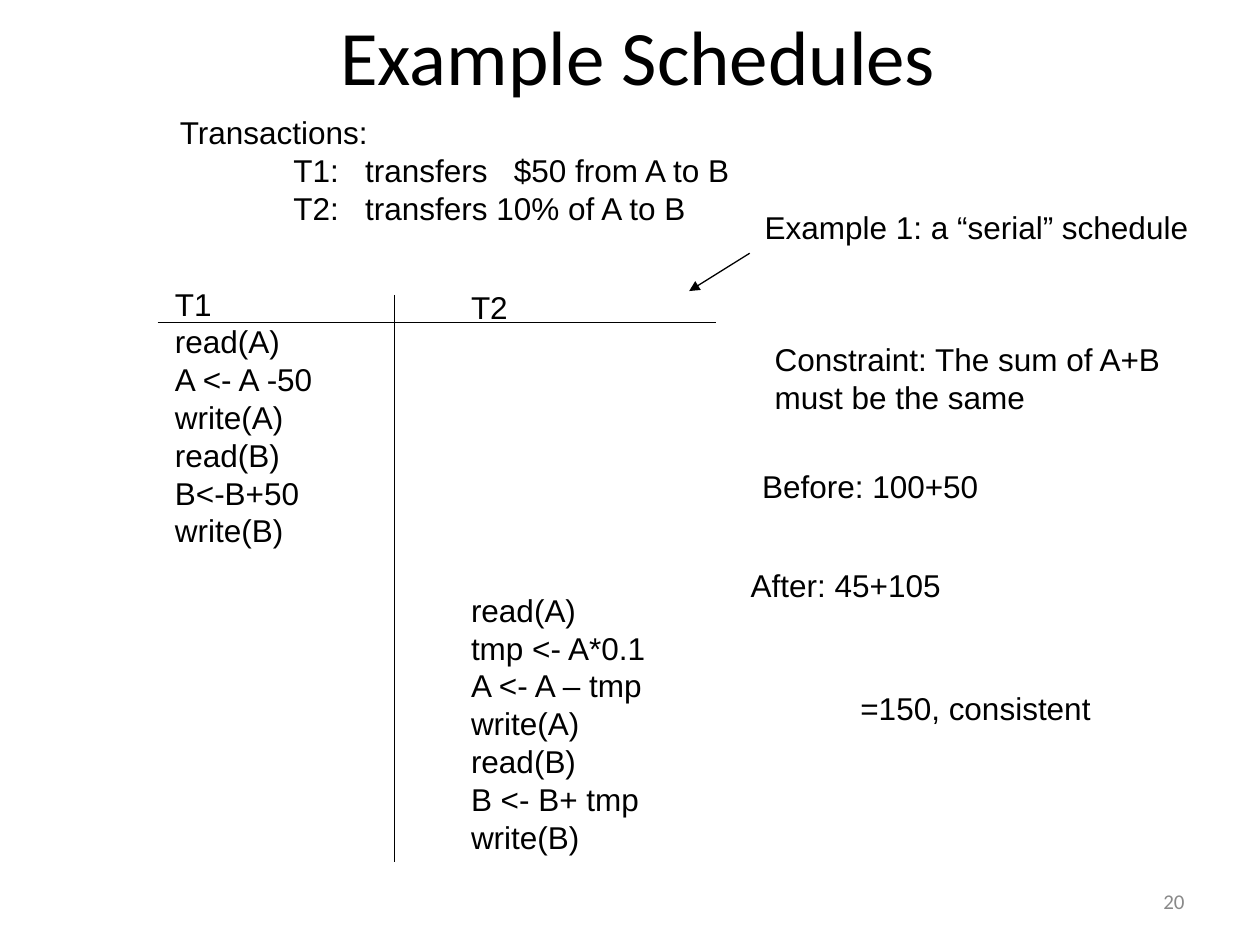
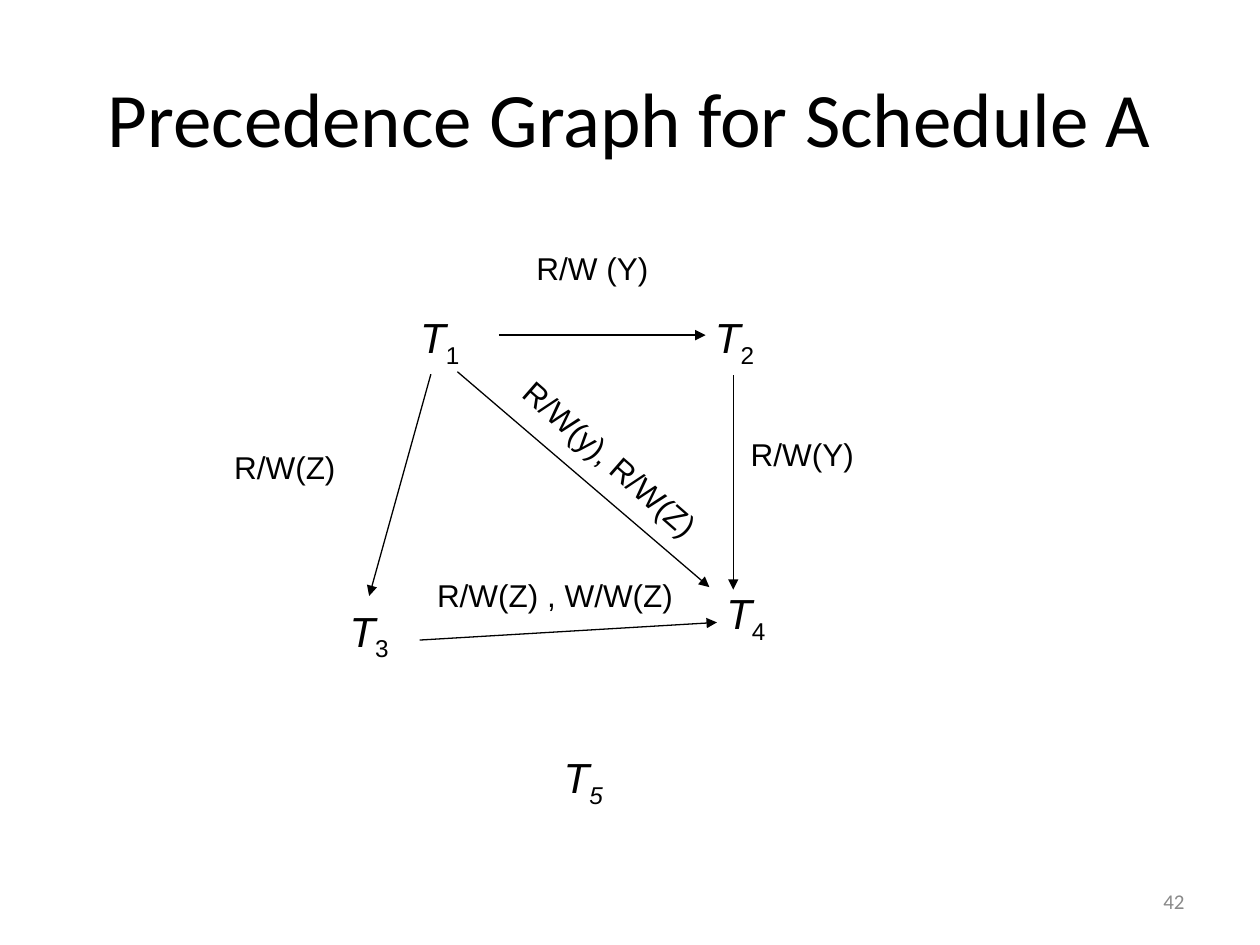
from dataclasses import dataclass

from lxml.etree import SubElement
from pptx import Presentation
from pptx.dml.color import RGBColor
from pptx.enum.shapes import MSO_CONNECTOR
from pptx.enum.text import MSO_ANCHOR, PP_ALIGN
from pptx.oxml.ns import qn
from pptx.util import Inches, Pt


@dataclass(frozen=True)
class Theme:
    ink: RGBColor = RGBColor(0, 0, 0)
    muted: RGBColor = RGBColor(0x89, 0x89, 0x89)
    head_font: str = "Calibri"
    body_font: str = "Arial"
    title: int = 44
    node: int = 24
    body: int = 18
    number: int = 12
    line: float = 0.75
    leading: float = 1.2


T = Theme()


# Shared helpers
def set_font(r, size, color=T.ink, name=T.body_font, **extra):
    values = {"size": Pt(size), "name": name, **extra}
    for key, value in values.items():
        setattr(r.font, key, value)
    r.font.color.rgb = color


def add_box(slide, box, wrap=False, anchor=MSO_ANCHOR.TOP):
    sp = slide.shapes.add_textbox(*map(Inches, box))
    sp.text_frame.word_wrap = wrap
    sp.text_frame.vertical_anchor = anchor
    return sp


def add_heading_text(slide, box, text, size, color, align):
    tf = add_box(slide, box, True, MSO_ANCHOR.MIDDLE).text_frame
    p = tf.paragraphs[0]
    p.alignment = align
    r = p.add_run()
    r.text = text
    set_font(r, size, color, T.head_font)


def add_lines(slide, box, lines, tabs=(), gaps=None):
    """Body text; gaps maps a line's index to the empty lines before it."""
    sp = add_box(slide, box)
    tf = sp.text_frame
    pitch = T.body * T.leading
    for i, text in enumerate(lines):
        p = tf.add_paragraph() if i else tf.paragraphs[0]
        p.line_spacing = Pt(pitch)
        if gaps and i in gaps:
            p.space_before = Pt(pitch * gaps[i])
        if tabs:
            tab_list = SubElement(p._p.get_or_add_pPr(), qn("a:tabLst"))
            for pos in tabs:
                SubElement(tab_list, qn("a:tab"), pos=str(Inches(pos)), algn="l")
        r = p.add_run()
        r.text = text
        set_font(r, T.body)
    return sp


def add_line(slide, start, end, arrow=False):
    cx = slide.shapes.add_connector(
        MSO_CONNECTOR.STRAIGHT, *map(Inches, (*start, *end)))
    cx.line.color.rgb = T.ink
    cx.line.width = Pt(T.line)
    if arrow:
        SubElement(cx.line._get_or_add_ln(), qn("a:tailEnd"), type="triangle")
    SubElement(cx._element.spPr, qn("a:effectLst"))


def new_slide(prs, title, title_box, number):
    slide = prs.slides.add_slide(prs.slide_layouts[6])
    add_heading_text(slide, title_box, title, T.title, T.ink, PP_ALIGN.CENTER)
    add_heading_text(slide, (7.17, 6.95, 2.33, 0.4), number, T.number,
                     T.muted, PP_ALIGN.RIGHT)
    return slide


# Example schedule: regions
def add_transactions(slide, box):
    lines = ["Transactions:",
             "\tT1:\ttransfers\t$50 from A to B",
             "\tT2:\ttransfers 10% of A to B"]
    add_lines(slide, box, lines, tabs=(0.9, 1.47, 2.65))


def add_schedule(slide, box):
    x, y, w, h = box
    t1 = ["T1", "read(A)", "A <- A -50", "write(A)",
          "read(B)", "B<-B+50", "write(B)"]
    t2 = ["T2", "read(A)", "tmp <- A*0.1", "A <- A – tmp", "write(A)",
          "read(B)", "B <- B+ tmp", "write(B)"]
    add_lines(slide, (x + 0.04, y, 1.4, 2.2), t1)
    # T2 starts only after every step of T1
    add_lines(slide, (x + 2.39, y + 0.03, 1.7, 4.6), t2, gaps={1: len(t1)})
    add_line(slide, (x, y + 0.35), (x + w, y + 0.35))
    add_line(slide, (x + 1.88, y + 0.13), (x + 1.88, y + h))


def add_remarks(slide, box):
    x, y, w, h = box
    remarks = [
        (0.11, 0, 3.65, ["Example 1: a “serial” schedule"]),
        (0.19, 1.05, 3.45, ["Constraint: The sum of A+B", "must be the same"]),
        (0.09, 2.06, 2, ["Before: 100+50"]),
        (0, 2.84, 1.8, ["After: 45+105"]),
        (0.87, 3.82, 2.15, ["=150, consistent"]),
    ]
    for dx, dy, width, lines in remarks:
        height = 0.1 + 0.3 * len(lines)
        add_lines(slide, (x + dx, y + dy, width, height), lines)
    add_line(slide, (x + 0.09, y + 0.41), (x - 0.39, y + 0.71), arrow=True)


def build_schedule_slide(prs):
    slide = new_slide(prs, "Example Schedules", (0.65, 0.1, 8.83, 0.67), "20")
    add_transactions(slide, (1.33, 0.85, 4.7, 1))
    add_schedule(slide, (1.25, 2.21, 4.43, 4.63))
    add_remarks(slide, (5.86, 1.6, 3.76, 4.22))


# Precedence graph: nodes, edges and edge labels
def add_node(slide, x, y, index, slanted):
    tf = add_box(slide, (x, y, 0.6, 0.56), True, MSO_ANCHOR.MIDDLE).text_frame
    p = tf.paragraphs[0]
    p.alignment = PP_ALIGN.CENTER
    p.line_spacing = Pt(T.node * T.leading)
    for text, italic in (("T", True), (index, slanted)):
        r = p.add_run()
        r.text = text
        set_font(r, T.node, italic=italic)
    r.font._element.set("baseline", "-25000")


def add_graph(slide, box):
    x, y, w, h = box
    nodes = {"1": (1.43, 0.52), "2": (3.77, 0.52), "3": (0.87, 2.85),
             "4": (3.86, 2.71), "5": (2.57, 4.01)}
    for index, (dx, dy) in nodes.items():
        add_node(slide, x + dx, y + dy, index, slanted=index == "5")

    edges = [
        ((2.2, 0.73), (3.84, 0.73)),   # T1 to T2
        ((4.06, 1.05), (4.06, 2.75)),  # T2 to T4
        ((1.57, 3.15), (3.93, 3.01)),  # T3 to T4
        ((1.66, 1.04), (1.17, 2.8)),   # T1 to T3
        ((1.87, 1.02), (3.87, 2.73)),  # T1 to T4
    ]
    for (x1, y1), (x2, y2) in edges:
        add_line(slide, (x + x1, y + y1), (x + x2, y + y2), arrow=True)

    # Boxes are a little wider than their text, so each label keeps one line
    labels = [
        ("R/W (Y)", 2.4, 0, 1.2, 0),
        ("R/W(Y)", 4.1, 1.47, 1.15, 0),
        ("R/W(Z)", 0, 1.58, 1.15, 0),
        ("R/W(Z) , W/W(Z)", 1.61, 2.59, 2.25, 0),
        ("R/W(y), R/W(Z)", 2.12, 1.52, 1.94, 41.2),
    ]
    for text, dx, dy, width, angle in labels:
        sp = add_lines(slide, (x + dx, y + dy, width, 0.4), [text])
        sp.rotation = angle


def build_graph_slide(prs):
    slide = new_slide(prs, "Precedence Graph for Schedule A",
                      (0.5, 0.3, 9, 1.25), "42")
    add_graph(slide, (1.76, 1.93, 5.25, 4.57))


def main():
    prs = Presentation()
    prs.slide_width, prs.slide_height = Inches(10), Inches(7.5)
    build_schedule_slide(prs)
    build_graph_slide(prs)
    prs.save("out.pptx")


if __name__ == "__main__":
    main()
